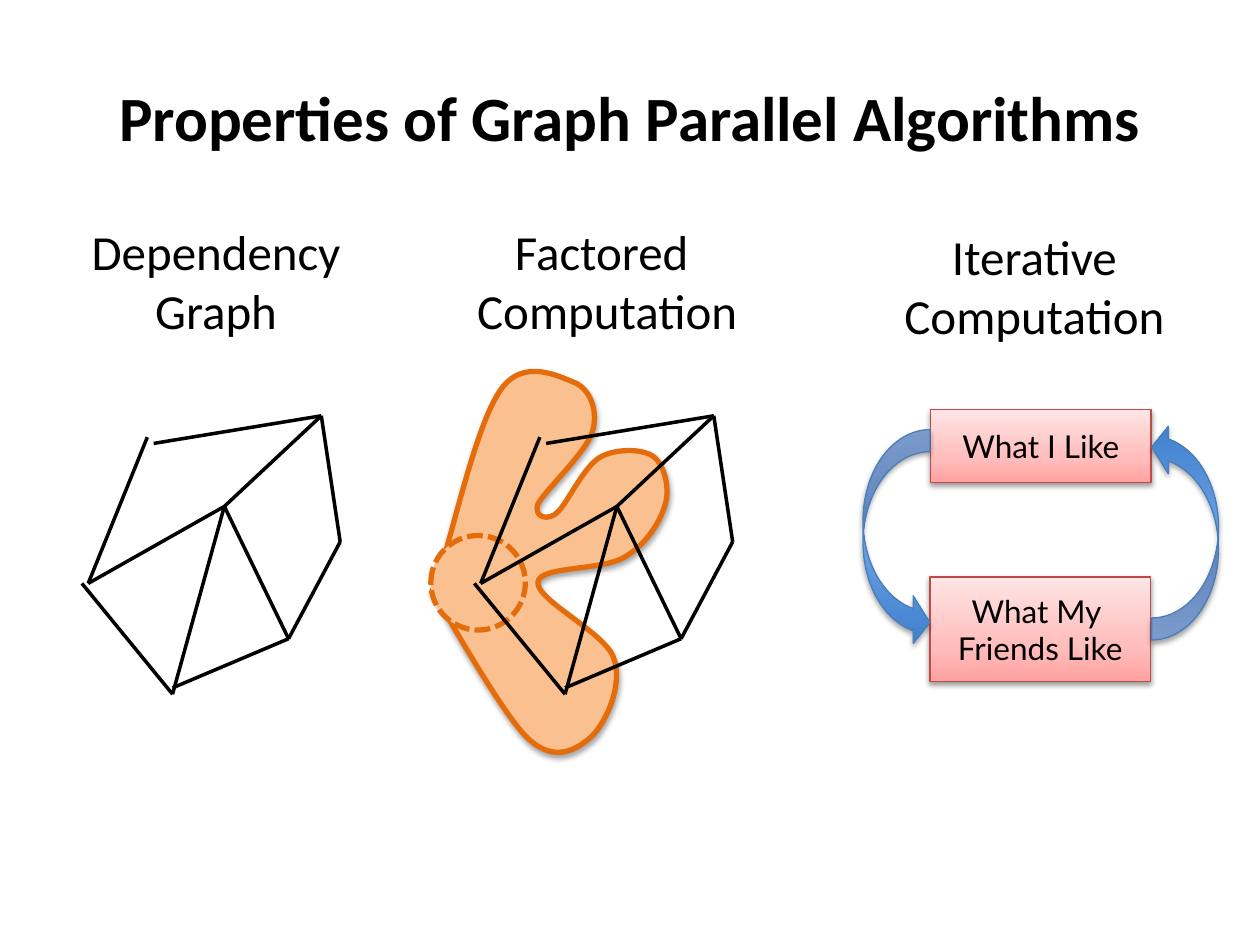
import pptx
import pptx.dml.color
import pptx.enum.dml
import pptx.enum.shapes
import pptx.enum.text
import pptx.oxml
import pptx.oxml.ns
import pptx.util
from dataclasses import dataclass
from lxml import etree

Pt = pptx.util.Pt
qn = pptx.oxml.ns.qn
SHAPE = pptx.enum.shapes.MSO_SHAPE


@dataclass(frozen=True)
class Theme:
    font: str = "Calibri"
    box_font: str = "Lato"
    title_size: int = 36
    heading_size: int = 28
    box_size: int = 18
    ink: str = "000000"
    region_fill: str = "FAC090"
    region_line: str = "E46C0A"
    box_line: str = "BE4B48"
    box_stops: tuple = ((0, "FFE5E5"), (65, "FFBEBD"), (100, "FFA2A1"))
    arrow_line: str = "4A7EBB"
    arrow_stops: tuple = ((0, "9BC1FF"), (100, "3F80CD"))


def rgb(color):
    return pptx.dml.color.RGBColor.from_string(color)


class SlideBuilder:
    def __init__(self, slide, theme):
        self.slide = slide
        self.theme = theme
        self.shapes = slide.shapes

    def start_group(self):
        self.shapes = self.slide.shapes.add_group_shape().shapes

    def end_group(self):
        self.shapes = self.slide.shapes

    def outline(self, shape, color, width):
        shape.line.color.rgb = rgb(color)
        shape.line.width = Pt(width)

    def shadow(self, shape, opacity, distance):
        shape.shadow.inherit = False
        effects = shape._element.spPr.find(qn("a:effectLst"))
        outer = etree.SubElement(effects, qn("a:outerShdw"), blurRad=str(Pt(3.1)),
                                 dist=str(Pt(distance)), dir="5400000", rotWithShape="0")
        color = etree.SubElement(outer, qn("a:srgbClr"), val=self.theme.ink)
        etree.SubElement(color, qn("a:alpha"), val=str(opacity * 1000))

    def gradient(self, shape, stops):
        shape.fill.gradient()
        shape.fill.gradient_angle = 270
        stop_list = shape._element.spPr.find(qn("a:gradFill")).find(qn("a:gsLst"))
        for old_stop in list(stop_list):
            stop_list.remove(old_stop)
        for position, color in stops:
            stop = etree.SubElement(stop_list, qn("a:gs"), pos=str(position * 1000))
            etree.SubElement(stop, qn("a:srgbClr"), val=color)

    def set_text(self, shape, text, size, font, bold=False, wrap=False):
        frame = shape.text_frame
        frame.text = text
        frame.word_wrap = wrap
        for paragraph in frame.paragraphs:
            paragraph.alignment = pptx.enum.text.PP_ALIGN.CENTER
            for run in paragraph.runs:
                run.font.name = font
                run.font.size = Pt(size)
                run.font.bold = bold
                run.font.color.rgb = rgb(self.theme.ink)
        return frame

    def title(self, text, frame):
        box = self.shapes.add_textbox(*map(Pt, frame))
        text_frame = self.set_text(box, text, self.theme.title_size, self.theme.font, True, True)
        text_frame.vertical_anchor = pptx.enum.text.MSO_ANCHOR.MIDDLE

    def heading(self, text, frame):
        box = self.shapes.add_textbox(*map(Pt, frame))
        text_frame = self.set_text(box, text, self.theme.heading_size, self.theme.font)
        text_frame.auto_size = pptx.enum.text.MSO_AUTO_SIZE.SHAPE_TO_FIT_TEXT

    def region(self, frame, start, curves):
        """Closed outline of cubic curves, in slide coordinates."""
        left, top, width, height = frame
        builder = self.shapes.build_freeform(Pt(left), Pt(top))
        builder.add_line_segments([(Pt(left + width), Pt(top)),
                                   (Pt(left + width), Pt(top + height))])
        shape = builder.convert_to_shape()
        outline = next(shape._element.iter(qn("a:path")))
        for segment in list(outline):
            outline.remove(segment)

        def add_segment(tag, points):
            segment = etree.SubElement(outline, qn(tag))
            for x, y in points:
                etree.SubElement(segment, qn("a:pt"), x=str(Pt(x - left)), y=str(Pt(y - top)))

        add_segment("a:moveTo", [start])
        for curve in curves:
            add_segment("a:cubicBezTo", curve)
        etree.SubElement(outline, qn("a:close"))
        shape.fill.solid()
        shape.fill.fore_color.rgb = rgb(self.theme.region_fill)
        self.outline(shape, self.theme.region_line, 3)
        self.shadow(shape, 35, 1.8)

    def dashed_circle(self, frame):
        circle = self.shapes.add_shape(SHAPE.OVAL, *map(Pt, frame))
        circle.shadow.inherit = False
        circle.fill.solid()
        circle.fill.fore_color.rgb = rgb(self.theme.region_fill)
        self.outline(circle, self.theme.region_line, 3)
        circle.line.dash_style = pptx.enum.dml.MSO_LINE.SQUARE_DOT

    def edge(self, start, end):
        line = self.shapes.add_connector(pptx.enum.shapes.MSO_CONNECTOR.STRAIGHT,
                                         *map(Pt, (*start, *end)))
        self.outline(line, self.theme.ink, 2)
        etree.SubElement(line._element.spPr, qn("a:effectLst"))

    def graph(self, edges, shift):
        self.start_group()
        for (x1, y1), (x2, y2) in edges:
            self.edge((x1 + shift, y1), (x2 + shift, y2))
        self.end_group()

    def box(self, text, frame):
        box = self.shapes.add_shape(SHAPE.RECTANGLE, *map(Pt, frame))
        self.gradient(box, self.theme.box_stops)
        self.outline(box, self.theme.box_line, 0.75)
        self.shadow(box, 38, 1.6)
        text_frame = self.set_text(box, text, self.theme.box_size, self.theme.box_font)
        text_frame.vertical_anchor = pptx.enum.text.MSO_ANCHOR.MIDDLE

    def curved_arrow(self, frame, rotation):
        arrow = self.shapes.add_shape(SHAPE.CURVED_RIGHT_ARROW, *map(Pt, frame))
        for index, value in enumerate((0.33, 0.71, 0.25)):
            arrow.adjustments[index] = value
        arrow.rotation = rotation
        self.gradient(arrow, self.theme.arrow_stops)
        self.outline(arrow, self.theme.arrow_line, 0.75)
        self.shadow(arrow, 35, 1.8)


# Graph corners; some edges stop just short of a shared corner
HUB, TOP, RIGHT, LOWER = (128.2, 289.4), (183.6, 237.6), (194.4, 309.6), (164.9, 365)
LEFT, LEFT_OUTER = (50.4, 333.4), (46.8, 333.4)
UPPER, UPPER_INNER = (84.2, 249.8), (87.8, 253.4)
BOTTOM, BOTTOM_INNER = (98.6, 396.7), (98.6, 393.1)
EDGES = [(HUB, TOP), (LEFT, HUB), (UPPER_INNER, TOP), (UPPER, LEFT), (HUB, BOTTOM),
         (LEFT_OUTER, BOTTOM), (TOP, RIGHT), (RIGHT, LOWER), (HUB, LOWER),
         (BOTTOM_INNER, LOWER)]

# Neighbourhood outline: two control points and an end point per curve
NEIGHBOURHOOD = [
    [(261.4, 293.8), (272.2, 243.4), (285.8, 223.2)],
    [(298.8, 203.8), (319.7, 215.3), (329, 218.9)],
    [(337.7, 223.2), (342, 235.4), (338.4, 247)],
    [(334.8, 258.5), (311, 280.8), (307.4, 288)],
    [(304.6, 295.9), (313.9, 298.1), (319, 292.3)],
    [(324.7, 286.6), (333.4, 267.1), (342.7, 261.4)],
    [(351.4, 256.3), (366.5, 256.3), (373, 260.6)],
    [(379.4, 265), (383, 278.6), (380.2, 288)],
    [(377.3, 298.1), (369.4, 311), (357.1, 318.2)],
    [(344.9, 326.2), (308.2, 323.3), (307.4, 332.6)],
    [(306, 342.7), (345.6, 361.4), (350.6, 375.8)],
    [(356.4, 391), (346.3, 412.6), (338.4, 420.5)],
    [(329.8, 428.4), (316.8, 436.3), (301.7, 421.9)],
    [(286.6, 408.2), (247, 337), (247, 337)],
]


def main():
    deck = pptx.Presentation()
    deck.slide_width, deck.slide_height = Pt(720), Pt(540)
    builder = SlideBuilder(deck.slides.add_slide(deck.slide_layouts[6]), Theme())

    # Highlighted neighbourhood, behind the graph
    builder.region((247, 212.4, 134, 217.4), (248.4, 337), NEIGHBOURHOOD)
    builder.dashed_circle((246.2, 306, 54, 54))

    builder.title("Properties of Graph Parallel Algorithms", (36, 21.6, 648, 90))

    # Dependency graph
    builder.graph(EDGES, 0)
    builder.heading("Dependency\nGraph", (43.9, 123.1, 159.1, 74.9))

    # Iterative computation
    builder.heading("Iterative\nComputation", (508.3, 126, 165.6, 74.9))
    builder.start_group()
    builder.box("What I Like", (531.8, 234, 126, 41.8))
    builder.box("What My \vFriends Like", (531.4, 329.8, 126, 59.8))
    builder.curved_arrow((493.2, 245.5, 38.2, 123.8), 0)
    builder.curved_arrow((658.1, 241.9, 38.2, 123.8), 180)
    builder.end_group()

    # Factored computation
    builder.heading("Factored \nComputation ", (264.2, 123.1, 165.6, 74.9))
    builder.graph(EDGES, 224.3)

    deck.save("out.pptx")


if __name__ == "__main__":
    main()
